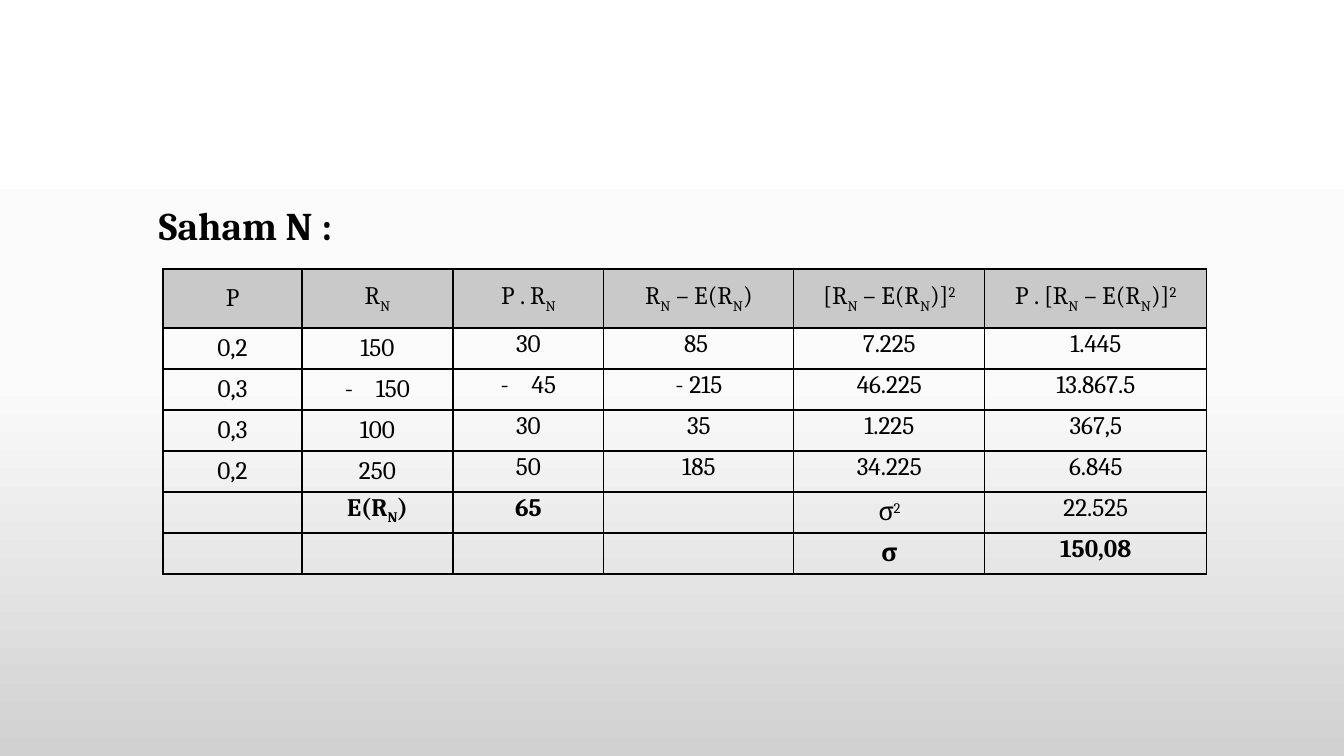
from copy import deepcopy
from dataclasses import dataclass

from lxml.etree import SubElement
from pptx import Presentation
from pptx.dml.color import RGBColor
from pptx.enum.text import MSO_ANCHOR, PP_ALIGN
from pptx.oxml.ns import qn
from pptx.util import Emu, Pt


@dataclass(frozen=True)
class Theme:
    font: str = "Cambria"
    ink: str = "000000"
    header_fill: str = "C9C9C9"
    background: tuple = ((0, "FFFFFF"), (0.5, "FBFBFB"), (1, "D1D1D1"))
    heading_size: int = 28
    table_size: int = 18
    border_width: int = 1


theme = Theme()
EMU_PER_PX = 914400 / 100.8


def px(length):
    return Emu(round(length * EMU_PER_PX))


def add_runs(paragraph, text, size, bold):
    """Split text at | into runs; a leading _ lowers a run, ^ raises it."""
    for piece in text.split("|"):
        run = paragraph.add_run()
        run.text = piece.lstrip("_^")
        run.font.name = theme.font
        run.font.size = Pt(size)
        run.font.bold = bold
        run.font.color.rgb = RGBColor.from_string(theme.ink)
        shift = {"_": "-25000", "^": "30000"}.get(piece[0])
        if shift:
            run._r.get_or_add_rPr().set("baseline", shift)


presentation = Presentation()
presentation.slide_width = px(1344)
presentation.slide_height = px(756)
slide = presentation.slides.add_slide(presentation.slide_layouts[6])

# Background
background = slide.background.fill
background.gradient()
background.gradient_angle = 270
stop_list = slide._element.find(".//" + qn("a:gsLst"))
stop_list.insert(1, deepcopy(stop_list[0]))
for stop, (position, color) in zip(background.gradient_stops, theme.background):
    stop.position = position
    stop.color.rgb = RGBColor.from_string(color)

# Heading
heading = slide.shapes.add_textbox(px(93), px(202), px(1159), px(480)).text_frame
heading.word_wrap = True
paragraph = heading.paragraphs[0]
paragraph.line_spacing = 0.9
paragraph._p.get_or_add_pPr().set("marL", str(px(56)))
add_runs(paragraph, "Saham N :", theme.heading_size, True)

# Table of returns
rows = [
    ["P", "R|_N", "P . R|_N", "R|_N| – E(R|_N|)", "[R|_N| – E(R|_N|)]|^2",
     "P . [R|_N| – E(R|_N|)]|^2"],
    ["0,2", "150", "30", "85 ", "7.225", "1.445"],
    ["0,3", "150", "45", "- 215", "46.225", "13.867.5"],
    ["0,3", "100", "30", "35", "1.225", "367,5"],
    ["0,2", "250", "50", "185", "34.225", "6.845"],
    ["", "E(R|_N|)", "65", "", "σ|^2", "22.525"],
    ["", "", "", "", "σ", "150,08"],
]
column_widths = [139, 151, 151, 190, 191, 222]
row_heights = [59] + [41] * 6
bold_cells = {(5, 1), (5, 2), (6, 4), (6, 5)}
dash_cells = {(2, 1), (2, 2)}

table = slide.shapes.add_table(
    len(rows), len(column_widths), px(163), px(269),
    px(sum(column_widths)), px(sum(row_heights))).table
table.first_row = False
table.horz_banding = False
for column, width in zip(table.columns, column_widths):
    column.width = px(width)
for row, height in zip(table.rows, row_heights):
    row.height = px(height)

for row_index, row in enumerate(rows):
    for column_index, text in enumerate(row):
        position = (row_index, column_index)
        cell = table.cell(*position)
        cell.margin_top = cell.margin_bottom = px(2)
        is_header = row_index == 0
        is_input = row_index < 5 and column_index < 2
        is_sigma = row_index > 4 and column_index == 4
        centred = is_header or is_input or is_sigma
        cell.vertical_anchor = MSO_ANCHOR.MIDDLE if centred else MSO_ANCHOR.TOP

        properties = cell._tc.get_or_add_tcPr()
        for side in ("a:lnL", "a:lnR", "a:lnT", "a:lnB"):
            border = SubElement(properties, qn(side), w=str(Pt(theme.border_width)))
            border_fill = SubElement(border, qn("a:solidFill"))
            SubElement(border_fill, qn("a:srgbClr"), val=theme.ink)
        if is_header:
            cell.fill.solid()
            cell.fill.fore_color.rgb = RGBColor.from_string(theme.header_fill)
        else:
            cell.fill.background()

        paragraph = cell.text_frame.paragraphs[0]
        paragraph.alignment = PP_ALIGN.CENTER
        if position in dash_cells:
            paragraph_properties = paragraph._p.get_or_add_pPr()
            paragraph_properties.set("marL", str(px(31)))
            paragraph_properties.set("indent", str(-px(31)))
            SubElement(paragraph_properties, qn("a:buFont"), typeface=theme.font)
            SubElement(paragraph_properties, qn("a:buChar"), char="-")
        if text:
            add_runs(paragraph, text, theme.table_size, position in bold_cells)

presentation.save("out.pptx")
